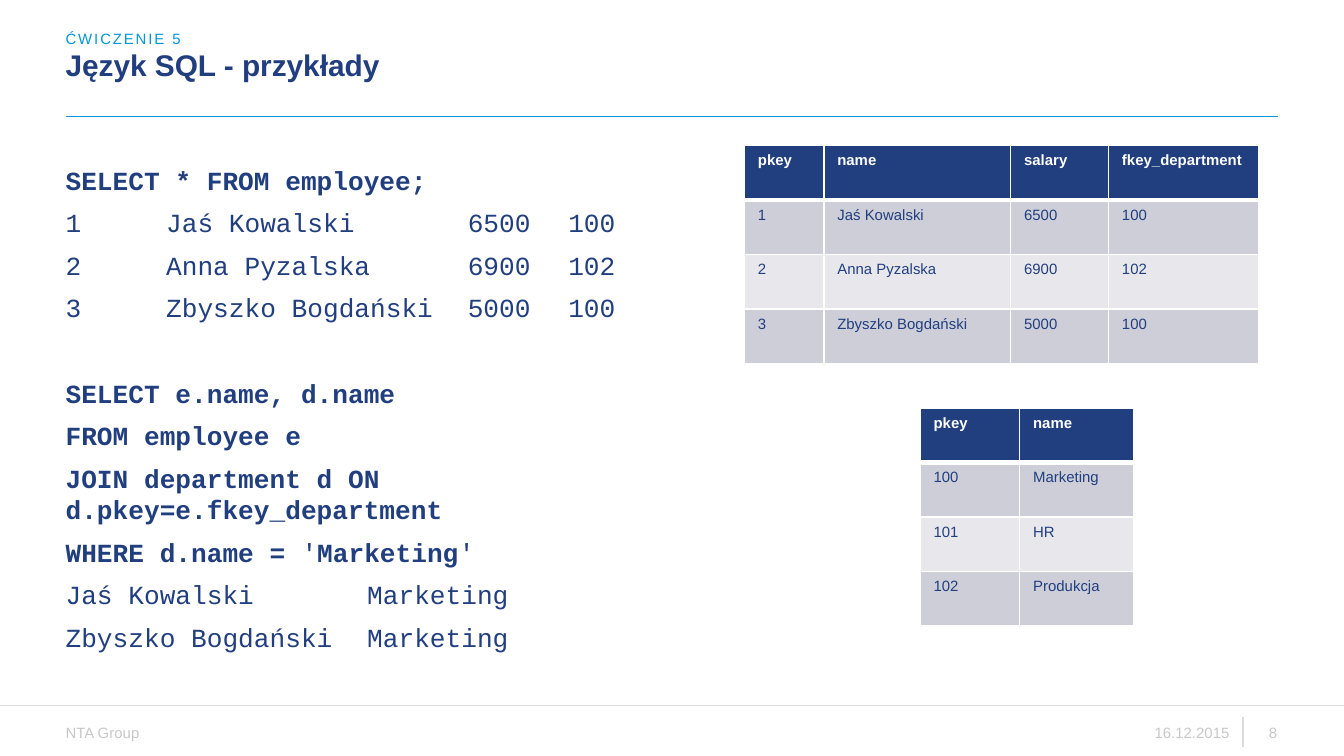
from dataclasses import dataclass
from typing import NamedTuple

from lxml import etree
from pptx import Presentation
from pptx.dml.color import RGBColor
from pptx.enum.shapes import MSO_CONNECTOR
from pptx.enum.text import MSO_ANCHOR, MSO_AUTO_SIZE, PP_ALIGN
from pptx.oxml.ns import qn
from pptx.util import Cm, Pt

STRAIGHT = MSO_CONNECTOR.STRAIGHT
TOP, MIDDLE, BOTTOM = MSO_ANCHOR.TOP, MSO_ANCHOR.MIDDLE, MSO_ANCHOR.BOTTOM
LEFT, RIGHT = PP_ALIGN.LEFT, PP_ALIGN.RIGHT
NO_AUTOFIT = MSO_AUTO_SIZE.NONE


@dataclass(frozen=True)
class Theme:
    navy: str = "213E7F"
    cyan: str = "0097D9"
    white: str = "FFFFFF"
    rule: str = "DCDCDC"
    footer: str = "C8C8C8"
    bands: tuple[str, str] = ("CDCED8", "E8E8EC")
    sans: str = "Arial"
    mono: str = "Courier New"
    title_pt: float = 16
    code_pt: float = 14
    small_pt: float = 8


class Box(NamedTuple):
    left: float
    top: float
    width: float
    height: float


class Rule(NamedTuple):
    x1: float
    y1: float
    x2: float
    y2: float
    color: str


class Footer(NamedTuple):
    text: str
    box: Box
    align: PP_ALIGN


class Grid(NamedTuple):
    left: float
    top: float
    widths: tuple[float, ...]
    row_height: float
    rows: tuple[tuple[str, ...], ...]


class CodeLine(NamedTuple):
    runs: tuple[tuple[str, bool], ...]
    before: float = 6


T = Theme()
MARGIN, RIGHT_EDGE = 1.24, 24.15
TAB_STEP = 1.9

# Content
EMPLOYEES = (
    ("1", "Jaś Kowalski", "6500", "100"),
    ("2", "Anna Pyzalska", "6900", "102"),
    ("3", "Zbyszko Bogdański", "5000", "100"),
)
DEPARTMENTS = (("100", "Marketing"), ("101", "HR"), ("102", "Produkcja"))
GRIDS = (
    Grid(17.39, 7.71, (1.88, 2.16), 1.03, (("pkey", "name"), *DEPARTMENTS)),
    Grid(14.07, 2.75, (1.5, 3.53, 1.85, 2.84), 1.03,
         (("pkey", "name", "salary", "fkey_department"), *EMPLOYEES)),
)
CODE = (
    CodeLine((("SELECT * FROM employee;", True),)),
    CodeLine((("1\tJaś Kowalski\t\t6500\t100", False),)),
    *(CodeLine((("\t".join(row), False),)) for row in EMPLOYEES[1:]),
    CodeLine((("SELECT e.name, d.name", True),), before=28.8),
    CodeLine((("FROM employee e", True),)),
    CodeLine((("JOIN department d ON\td.pkey=e.fkey_department", True),)),
    CodeLine((("WHERE d.name = ", True), ("'", False), ("Marketing", True), ("'", False))),
    CodeLine((("Jaś Kowalski\t\tMarketing", False),)),
    CodeLine((("Zbyszko Bogdański\tMarketing", False),)),
)
RULES = (
    Rule(MARGIN, 2.2, RIGHT_EDGE, 2.2, T.cyan),
    Rule(0, 13.33, 25.4, 13.33, T.rule),
    Rule(23.49, 14.12, 23.49, 13.56, T.rule),
)
FOOTERS = (
    Footer("NTA Group", Box(MARGIN, 13.68, 1.45, 0.33), LEFT),
    Footer("16.12.2015", Box(21.79, 13.68, 1.45, 0.33), RIGHT),
    Footer("8", Box(23.58, 13.68, 0.56, 0.33), RIGHT),
)


def add_run(p, text: str, size: float, color: str, bold: bool = False, font: str = T.sans):
    r = p.add_run()
    r.text = text
    r.font.name, r.font.size, r.font.bold = font, Pt(size), bold
    r.font.color.rgb = RGBColor.from_string(color)
    return r


def set_frame(sp, box: Box, anchor: MSO_ANCHOR, wrap: bool = True):
    """Place a text shape, clear its insets and return its text frame."""
    sp.left, sp.top, sp.width, sp.height = map(Cm, box)
    tf = sp.text_frame
    tf.margin_left = tf.margin_top = tf.margin_right = tf.margin_bottom = 0
    tf.auto_size, tf.word_wrap, tf.vertical_anchor = NO_AUTOFIT, wrap, anchor
    return tf


def set_plain(p) -> None:
    """Remove the inherited bullet and indent, and set the tab distance."""
    pPr = p._p.get_or_add_pPr()
    pPr.set("marL", "0")
    pPr.set("indent", "0")
    pPr.set("defTabSz", str(Cm(TAB_STEP)))
    etree.SubElement(pPr, qn("a:buNone"))


def add_rule(s, rule: Rule) -> None:
    line = s.shapes.add_connector(STRAIGHT, *map(Cm, rule[:4]))
    line.line.color.rgb = RGBColor.from_string(rule.color)
    line.line.width = Pt(0.75)
    etree.SubElement(line._element.spPr, qn("a:effectLst"))


def add_footer(s, item: Footer) -> None:
    tf = set_frame(s.shapes.add_textbox(*map(Cm, item.box)), item.box, MIDDLE, wrap=False)
    p = tf.paragraphs[0]
    p.alignment = item.align
    add_run(p, item.text, T.small_pt, T.footer)


def set_borders(cell, top: float, bottom: float) -> None:
    tcPr = cell._tc.get_or_add_tcPr()
    for side, width in (("L", 1), ("R", 1), ("T", top), ("B", bottom)):
        ln = etree.SubElement(tcPr, qn(f"a:ln{side}"), w=str(Pt(width)))
        fill = etree.SubElement(ln, qn("a:solidFill"))
        etree.SubElement(fill, qn("a:srgbClr"), val=T.white)


def add_grid(s, grid: Grid) -> None:
    n = len(grid.rows)
    table = s.shapes.add_table(n, len(grid.widths), Cm(grid.left), Cm(grid.top),
                               Cm(sum(grid.widths)), Cm(grid.row_height * n)).table
    for column, width in zip(table.columns, grid.widths):
        column.width = Cm(width)
    for i, values in enumerate(grid.rows):
        header = i == 0
        for j, value in enumerate(values):
            cell = table.cell(i, j)
            set_borders(cell, top=3 if i == 1 else 1, bottom=3 if header else 1)
            cell.fill.solid()
            cell.fill.fore_color.rgb = RGBColor.from_string(
                T.navy if header else T.bands[(i - 1) % 2])
            add_run(cell.text_frame.paragraphs[0], value, T.small_pt,
                    T.white if header else T.navy, header)


def add_code(sp) -> None:
    tf = set_frame(sp, Box(MARGIN, 3.1, 12.85, 9.47), TOP)
    for i, line in enumerate(CODE):
        p = tf.add_paragraph() if i else tf.paragraphs[0]
        p.space_before, p.line_spacing = Pt(line.before), Pt(16.8)
        set_plain(p)
        for text, bold in line.runs:
            add_run(p, text, T.code_pt, T.navy, bold, T.mono)


def main() -> None:
    prs = Presentation()
    prs.slide_width, prs.slide_height = Cm(25.4), Cm(14.29)
    s = prs.slides.add_slide(prs.slide_layouts.get_by_name("Comparison"))
    title, kicker, code, *unused = s.placeholders
    for sp in unused:
        sp._element.getparent().remove(sp._element)

    # Rules and footer
    for rule in RULES:
        add_rule(s, rule)
    for item in FOOTERS:
        add_footer(s, item)

    # Heading
    p = set_frame(title, Box(MARGIN, 0.96, 18.59, 0.61), TOP).paragraphs[0]
    p.alignment, p.line_spacing = LEFT, Pt(17)
    add_run(p, "Język SQL - przykłady", T.title_pt, T.navy, True)
    p = set_frame(kicker, Box(MARGIN, 0.56, 18.59, 0.33), BOTTOM).paragraphs[0]
    p.space_before = Pt(0)
    r = add_run(p, "ĆWICZENIE 5", T.small_pt, T.cyan)
    r.font._element.set("spc", "100")

    # Queries and tables
    add_code(code)
    for grid in GRIDS:
        add_grid(s, grid)
    prs.save("out.pptx")


if __name__ == "__main__":
    main()
